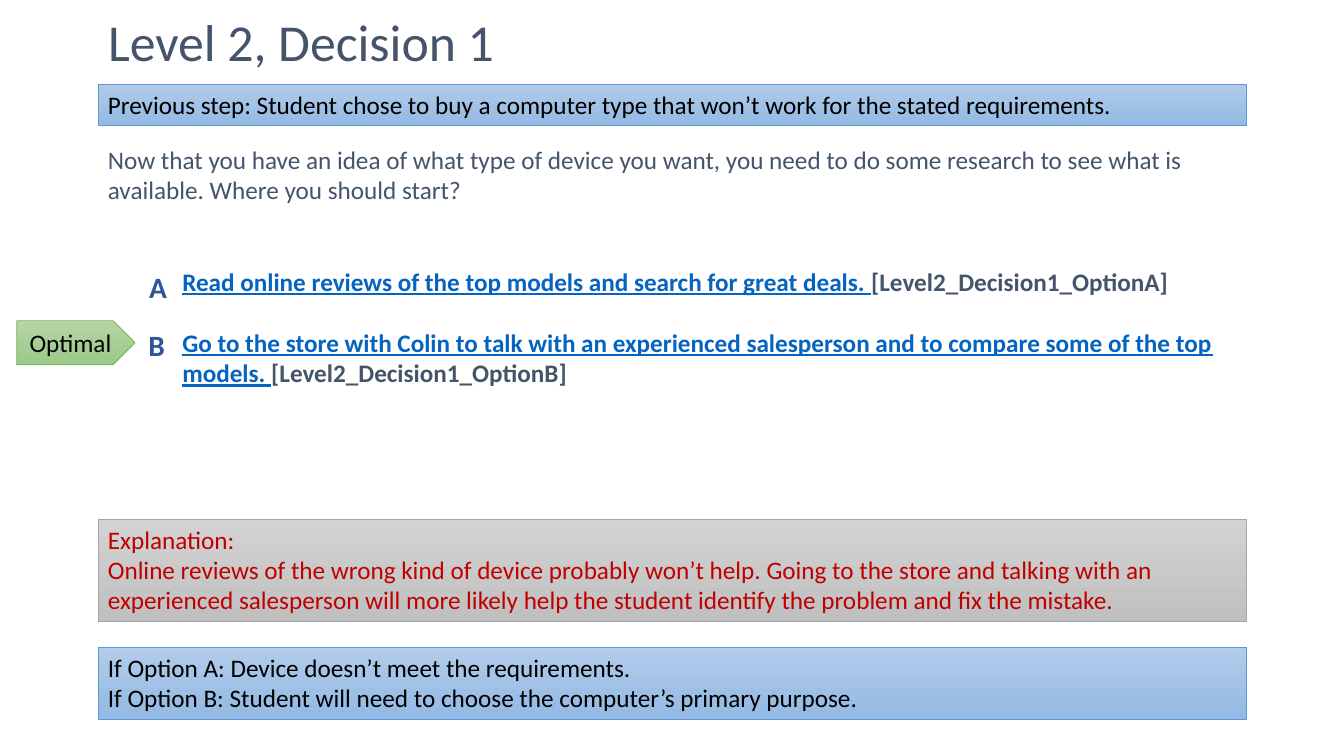
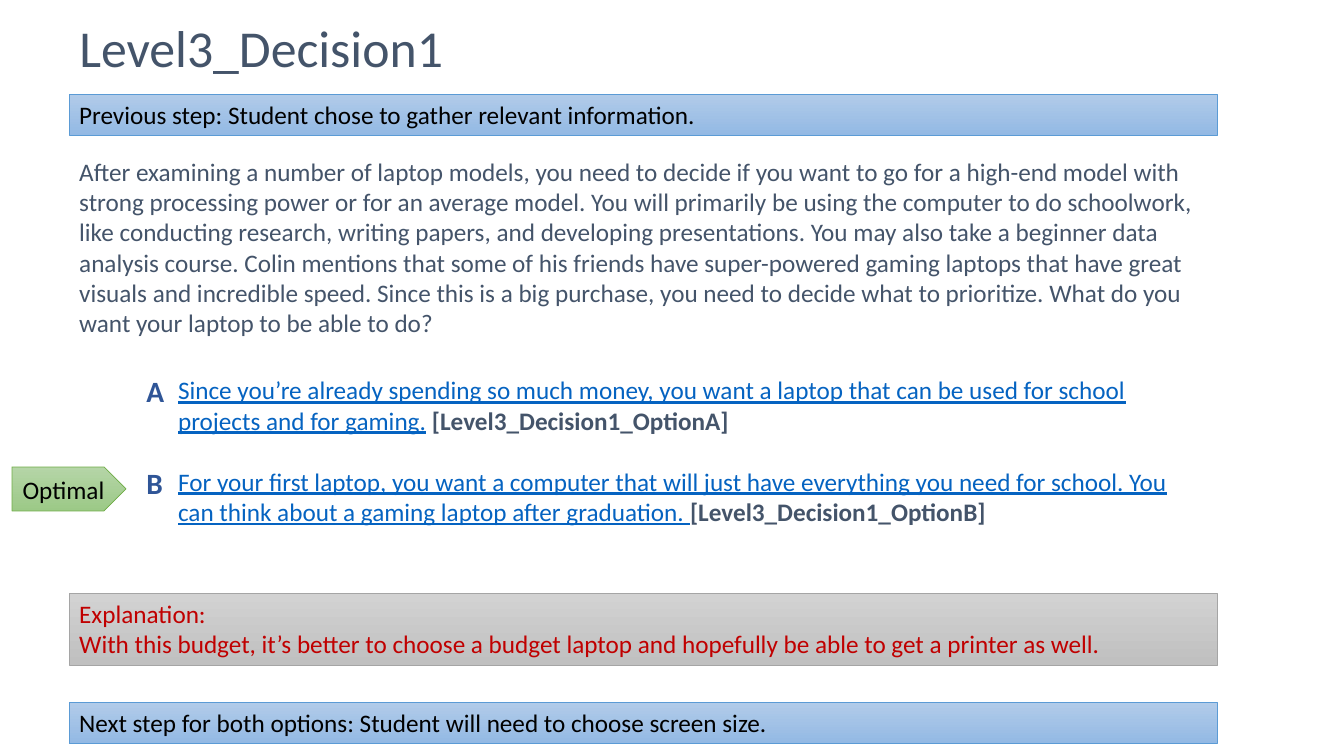
from lxml import etree
from pptx import Presentation
from pptx.dml.color import RGBColor
from pptx.enum.shapes import MSO_SHAPE
from pptx.enum.text import MSO_ANCHOR, MSO_AUTO_SIZE, PP_ALIGN
from pptx.oxml.ns import qn
from pptx.util import Pt

RECT, TAG = MSO_SHAPE.RECTANGLE, MSO_SHAPE.PENTAGON
TOP, MIDDLE = MSO_ANCHOR.TOP, MSO_ANCHOR.MIDDLE
LEFT, CENTER = PP_ALIGN.LEFT, PP_ALIGN.CENTER
NO_FIT = MSO_AUTO_SIZE.NONE

COLORS = {
    "slate": "44546A", "link": "0563C1", "letter": "2F5597",
    "black": "000000", "red": "C00000",
}
PANELS = {
    "blue": ("B1CBE9", "93B9E4", "5B9BD5"),
    "gray": ("D2D2D2", "C0C0C0", "A5A5A5"),
    "green": ("B5D5A7", "9CC987", "70AD47"),
}
BAND_W, LINE_H, PAD = 820, 22, 7.2

SLIDES = [
    {
        "title": "Level 2, Decision 1", "left": 70, "title_top": 8,
        "bands": [
            ("blue", "black", 60.5, 1, [
                "Previous step: Student chose to buy a computer type that won’t work for the stated requirements."]),
            ("gray", "red", 371, 3, [
                "Explanation:",
                "Online reviews of the wrong kind of device probably won’t help. Going to the store and talking with an experienced salesperson will more likely help the student identify the problem and fix the mistake."]),
            ("blue", "black", 462.5, 2, [
                "If Option A: Device doesn’t meet the requirements.",
                "If Option B: Student will need to choose the computer’s primary purpose."]),
        ],
        "prompt": (99.5, 820, 2,
                   "Now that you have an idea of what type of device you want, you need to do some research to see what is available. Where you should start?"),
        "options_box": (123, 186.5, 793.5, 160),
        "option_bold": True,
        "options": [
            ("Read online reviews of the top models and search for great deals. ", "[Level2_Decision1_OptionA]"),
            ("Go to the store with Colin to talk with an experienced salesperson and to compare some of the top models. ", "[Level2_Decision1_OptionB]"),
        ],
        "letters": [("A", 97, 187.5), ("B", 96.5, 229)],
        "tag": (12, 229, 84.5, 31.5),
    },
    {
        "title": "Level3_Decision1", "left": 49.5, "title_top": 12,
        "bands": [
            ("blue", "black", 67.5, 1, [
                "Previous step: Student chose to gather relevant information."]),
            ("gray", "red", 424, 2, [
                "Explanation:",
                "With this budget, it’s better to choose a budget laptop and hopefully be able to get a printer as well."]),
            ("blue", "black", 502, 1, [
                "Next step for both options: Student will need to choose screen size."]),
        ],
        "prompt": (108, 810, 6,
                   "After examining a number of laptop models, you need to decide if you want to go for a high-end model with strong processing power or for an average model. You will primarily be using the computer to do schoolwork, like conducting research, writing papers, and developing presentations. You may also take a beginner data analysis course. Colin mentions that some of his friends have super-powered gaming laptops that have great visuals and incredible speed. Since this is a big purchase, you need to decide what to prioritize. What do you want your laptop to be able to do?"),
        "options_box": (120, 264, 749.5, 160),
        "option_bold": False,
        "options": [
            ("Since you’re already spending so much money, you want a laptop that can be used for school projects and for gaming.", " [Level3_Decision1_OptionA]"),
            ("For your first laptop, you want a computer that will just have everything you need for school. You can think about a gaming laptop after graduation. ", "[Level3_Decision1_OptionB]"),
        ],
        "letters": [("A", 95, 261.5), ("B", 95, 327.5)],
        "tag": (8.5, 333.5, 81.5, 31.5),
    },
]


def rgb(value):
    return RGBColor.from_string(value)


def place(sp, left, top, width, height):
    sp.left, sp.top, sp.width, sp.height = map(Pt, (left, top, width, height))


def add_run(p, text, color, size=18, **formats):
    r = p.add_run()
    r.text = text
    r.font.color.rgb = rgb(COLORS[color])
    for name, value in {"name": "Calibri", "size": Pt(size), **formats}.items():
        setattr(r.font, name, value)


def write(sp, paragraphs, gap=0, align=LEFT, anchor=TOP, margins=None):
    tf = sp.text_frame
    formats = {"word_wrap": True, "auto_size": NO_FIT, "vertical_anchor": anchor}
    for name, value in formats.items():
        setattr(tf, name, value)
    if margins:
        tf.margin_left = tf.margin_right = Pt(margins[0])
        tf.margin_top = tf.margin_bottom = Pt(margins[1])
    for i, runs in enumerate(paragraphs):
        p = tf.add_paragraph() if i else tf.paragraphs[0]
        p.alignment = align
        p.space_before = Pt(gap if i else 0)
        for text, color, formats in runs:
            add_run(p, text, color, **formats)
    return tf


def add_text(s, box, runs, **layout):
    return write(s.shapes.add_textbox(*map(Pt, box)), [runs], **layout)


def add_panel(s, preset, box, panel, color, lines, **layout):
    sp = s.shapes.add_shape(preset, *map(Pt, box))
    sp.shadow.inherit = False
    start, end, line = PANELS[panel]
    sp.fill.gradient()
    sp.fill.gradient_angle = 270
    for stop, value in zip(sp.fill.gradient_stops, (start, end)):
        stop.color.rgb = rgb(value)
    sp.line.color.rgb = rgb(line)
    sp.line.width = Pt(0.5)
    write(sp, [[(text, color, {})] for text in lines], **layout)


def add_title(s, text, left, top):
    sp = s.shapes.title
    place(sp, left, top, BAND_W, 48)
    tf = write(sp, [[(text, "slate", {"size": 37})]], anchor=MIDDLE)
    tf.paragraphs[0].line_spacing = 0.9


def add_options(s, box, options, bold):
    sp = s.placeholders[1]
    place(sp, *box)
    tf = write(sp, [[(choice, "link", {"bold": bold, "underline": True}),
                     (target, "slate", {"bold": True})]
                    for choice, target in options], gap=LINE_H)
    for p in tf.paragraphs:
        pPr = p._p.get_or_add_pPr()
        pPr.set("marL", "0")
        pPr.set("indent", "0")
        etree.SubElement(pPr, qn("a:buNone"))


def build(prs, data):
    s = prs.slides.add_slide(prs.slide_layouts[1])
    left = data["left"]
    add_title(s, data["title"], left, data["title_top"])
    add_options(s, data["options_box"], data["options"], data["option_bold"])
    add_panel(s, TAG, data["tag"], "green", "black", ["Optimal"],
              align=CENTER, anchor=MIDDLE)
    for letter, x, y in data["letters"]:
        add_text(s, (x, y, 49, 36), [(letter, "letter", {"size": 21, "bold": True})],
                 margins=(9.5, 5))
    for panel, color, top, rows, lines in data["bands"]:
        add_panel(s, RECT, (left, top, BAND_W, rows * LINE_H + PAD), panel, color, lines)
    top, width, rows, text = data["prompt"]
    add_text(s, (left, top, width, rows * LINE_H + PAD), [(text, "slate", {})])


def main():
    prs = Presentation()
    prs.slide_width, prs.slide_height = Pt(960), Pt(540)
    for data in SLIDES:
        build(prs, data)
    prs.save("out.pptx")


if __name__ == "__main__":
    main()
